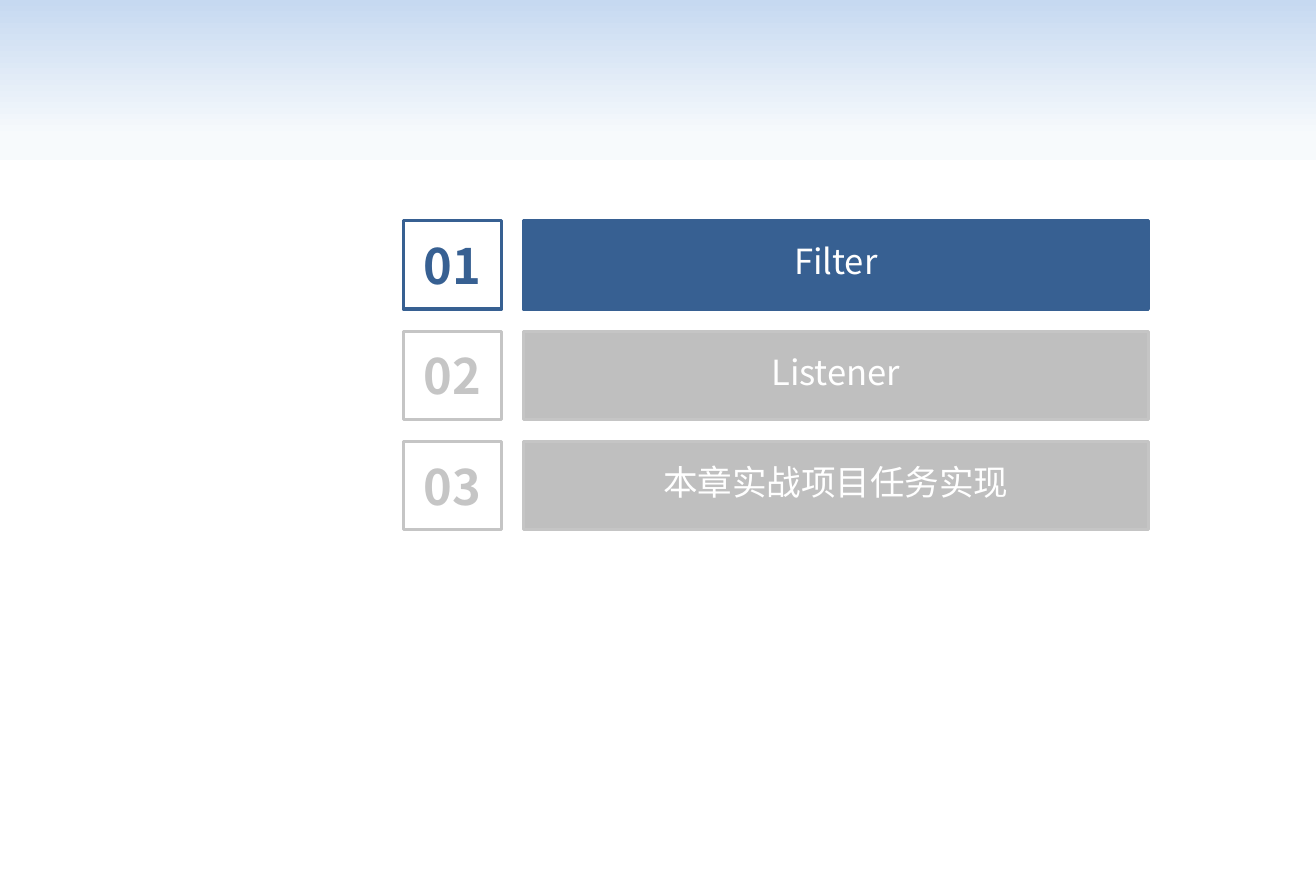
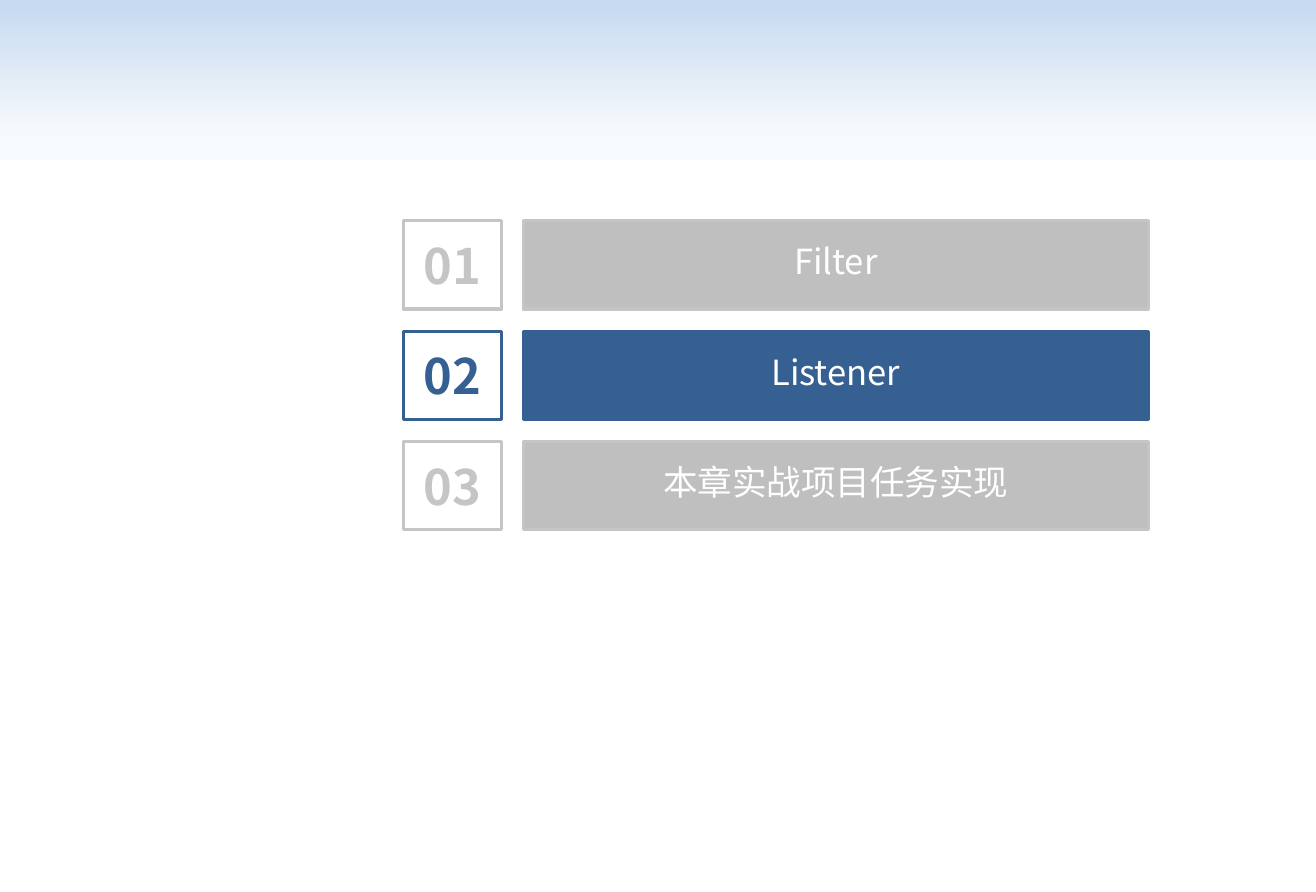
from lxml import etree
from pptx import Presentation
from pptx import util as u
from pptx.dml import color as colors
from pptx.enum import shapes, text
from pptx.oxml import ns

FONT = "Noto Sans CJK SC"
BLUE, GREY, GREY_LINE, WHITE = "376092", "BFBFBF", "C5C5C5", "FFFFFF"
SKY, MIST = "C6D9F1", "F7FAFC"
SLIDE_WIDTH, SLIDE_HEIGHT = 836.64, 567.36
HEADER_BOX = (0, 0, SLIDE_WIDTH, 102.2)
AGENDA_BOX = (256.3, 140.4, 473.8, 196.6)
TOPICS = ["Filter", "Listener", "本章实战项目任务实现"]


def rgb(value):
    """Turn a hex string into a colour."""
    return colors.RGBColor.from_string(value)


def add_box(slide, box, fill=None, line=None):
    """Add a rectangle without shadow, filled and outlined as asked."""
    shape = slide.shapes.add_shape(
        shapes.MSO_SHAPE.RECTANGLE, *(u.Pt(length) for length in box))
    shape.shadow.inherit = False
    if fill:
        shape.fill.solid()
        shape.fill.fore_color.rgb = rgb(fill)
    else:
        shape.fill.background()
    if line:
        shape.line.color.rgb = rgb(line)
        shape.line.width = u.Pt(2)
    else:
        shape.line.fill.background()
    return shape


def write(shape, content, size, color, bold=False, spacing=None, insets=(0, 0)):
    """Write one centred paragraph into a shape."""
    frame = shape.text_frame
    frame.word_wrap = True
    frame.vertical_anchor = text.MSO_ANCHOR.MIDDLE
    frame.margin_left = frame.margin_right = u.Pt(insets[0])
    frame.margin_top = frame.margin_bottom = u.Pt(insets[1])
    paragraph = frame.paragraphs[0]
    paragraph.alignment = text.PP_ALIGN.CENTER
    paragraph.line_spacing = spacing
    run = paragraph.add_run()
    run.text = content
    run.font.name = FONT
    run.font.size = u.Pt(size)
    run.font.bold = bold
    run.font.color.rgb = rgb(color)
    east_asian = etree.SubElement(run.font._element, ns.qn("a:ea"))
    east_asian.set("typeface", FONT)


def add_header(slide, box):
    """Draw the gradient band and the white rule along its lower edge."""
    left, top, width, height = box
    band = add_box(slide, box)
    band.fill.gradient()
    band.fill.gradient_angle = 270
    for stop, color, position in zip(band.fill.gradient_stops, (SKY, MIST), (0, 0.85)):
        stop.color.rgb = rgb(color)
        stop.position = position
    bottom = u.Pt(top + height)
    rule = slide.shapes.add_connector(
        shapes.MSO_CONNECTOR.STRAIGHT, u.Pt(left), bottom, u.Pt(left + width), bottom)
    rule.line.color.rgb = rgb(WHITE)
    rule.line.width = u.Pt(0.75)
    etree.SubElement(rule._element.spPr, ns.qn("a:effectLst"))


def add_agenda(slide, box, topics, current):
    """Stack numbered topic bars in the box and highlight the current one."""
    left, top, width, height = box
    row_height, number_width, gap = 56.2, 62.6, 13.7
    pitch = (height - row_height) / (len(topics) - 1)
    bar_left = left + number_width + gap
    bar_width = width - number_width - gap
    for index, topic in enumerate(topics):
        fill, line = (BLUE, BLUE) if index == current else (GREY, GREY_LINE)
        row_top = top + index * pitch
        number = add_box(slide, (left, row_top, number_width, row_height), line=line)
        write(number, f"{index + 1:02d}", size=31, color=line, bold=True)
        bar = add_box(slide, (bar_left, row_top, bar_width, row_height), fill, line)
        write(bar, topic, size=22, color=WHITE, spacing=0.8, insets=(8, 4))


def add_agenda_slide(presentation, current):
    """Add a slide with the shared header and the agenda."""
    slide = presentation.slides.add_slide(presentation.slide_layouts[6])
    add_header(slide, HEADER_BOX)
    add_agenda(slide, AGENDA_BOX, TOPICS, current)


def main():
    """Build and save the presentation."""
    presentation = Presentation()
    presentation.slide_width = u.Pt(SLIDE_WIDTH)
    presentation.slide_height = u.Pt(SLIDE_HEIGHT)
    for current in range(2):
        add_agenda_slide(presentation, current)
    presentation.save("out.pptx")


main()
